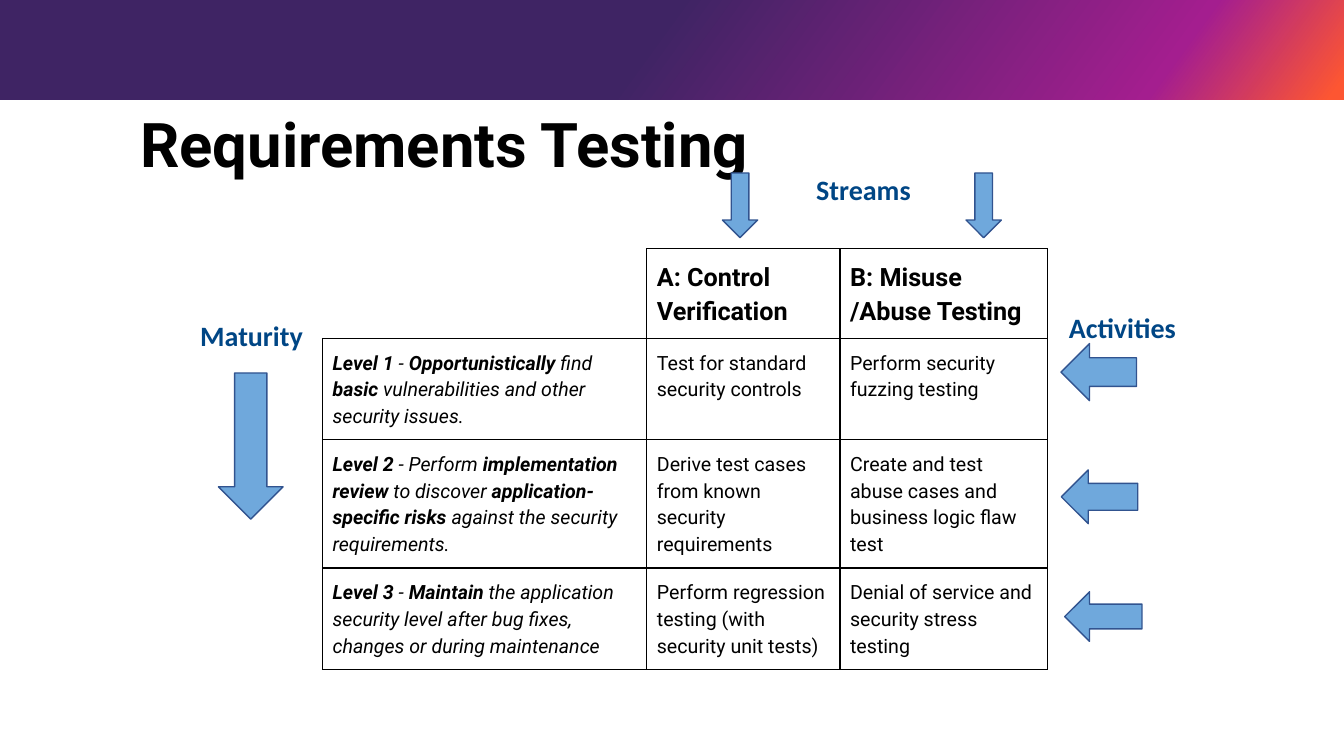
from lxml.etree import SubElement
from pptx import Presentation
from pptx.dml.color import RGBColor
from pptx.enum.shapes import MSO_SHAPE as Shape
from pptx.enum.text import MSO_ANCHOR as Anchor, PP_ALIGN as Align
from pptx.oxml import parse_xml
from pptx.oxml.ns import nsdecls, qn
from pptx.util import Inches, Pt

COLORS = {"text": "000000", "label": "004685", "arrow": "6FA8DC",
          "arrow_edge": "31538F", "border": "000000"}
BAND_STOPS = [(48, "3F2464"), (86, "A41E8F"), (99, "FD5632")]
COLUMNS, ROWS = 16, 9

HEADINGS = ["", "**A: Control Verification", "**B: Misuse /Abuse Testing"]
# Bold passages stand between double asterisks
LEVELS = [
    ["**Level 1** - **Opportunistically** find **basic** vulnerabilities and "
     "other security issues.",
     "Test for standard security controls",
     "Perform security fuzzing testing"],
    ["**Level 2** - Perform** implementation review** to discover "
     "**application-specific risks **against the security requirements.",
     "Derive test cases from known security requirements",
     "Create and test abuse cases and business logic flaw test"],
    ["**Level 3** - **Maintain** the application security level after bug "
     "fixes, changes or during maintenance",
     "Perform regression testing (with security unit tests)",
     "Denial of service and security stress testing"],
]


class SlideBuilder:
    """Draws on one slide; all lengths are grid columns and rows."""

    def __init__(self, deck):
        self.slide = deck.slides.add_slide(deck.slide_layouts[5])
        self.shapes = self.slide.shapes
        self.column = deck.slide_width / COLUMNS
        self.row = deck.slide_height / ROWS

    def box(self, left, top, width, height):
        return (round(left * self.column), round(top * self.row),
                round(width * self.column), round(height * self.row))

    def style(self, run, size, color, face, bold=True, italic=False):
        font = run.font
        font.name, font.size = face, Pt(size)
        font.bold, font.italic = bold, italic
        font.color.rgb = RGBColor.from_string(COLORS[color])

    def band(self, *place):
        band = self.shapes.add_shape(Shape.RECTANGLE, *self.box(*place))
        band.shadow.inherit = False
        band.line.fill.background()
        band.fill.gradient()
        band.fill.gradient_angle = 360 - 36
        stops = band.fill._fill._gradFill.find(qn("a:gsLst"))
        stops.clear()
        for share, color in BAND_STOPS:
            stop = SubElement(stops, qn("a:gs"), pos=str(share * 1000))
            SubElement(stop, qn("a:srgbClr"), val=color)

    def title(self, wording, *place):
        title = self.shapes.title
        title.left, title.top, title.width, title.height = self.box(*place)
        frame = title.text_frame
        frame.text = wording
        frame.word_wrap = True
        frame.vertical_anchor = Anchor.TOP
        heading = frame.paragraphs[0]
        heading.alignment, heading.line_spacing = Align.LEFT, 0.9
        self.style(heading.runs[0], 44, "text", "Roboto")

    def label(self, wording, *place, align=Align.CENTER):
        frame = self.shapes.add_textbox(*self.box(*place)).text_frame
        frame.text = wording
        frame.word_wrap = True
        frame.margin_left = frame.margin_right = Inches(0.07)
        frame.margin_top = frame.margin_bottom = Inches(0.04)
        frame.paragraphs[0].alignment = align
        self.style(frame.paragraphs[0].runs[0], 20, "label", "Calibri")

    def arrow(self, *place, turn=0):
        arrow = self.shapes.add_shape(Shape.DOWN_ARROW, *self.box(*place))
        arrow.shadow.inherit = False
        arrow.rotation = turn
        arrow.fill.solid()
        arrow.fill.fore_color.rgb = RGBColor.from_string(COLORS["arrow"])
        arrow.line.color.rgb = RGBColor.from_string(COLORS["arrow_edge"])
        arrow.line.width = Pt(1)

    def borders(self, cell, visible):
        color = f'<a:solidFill><a:srgbClr val="{COLORS["border"]}"/></a:solidFill>'
        for place, side in enumerate("LRTB"):
            paint = color if side in visible else "<a:noFill/>"
            edge = f'<a:ln{side} {nsdecls("a")} w="12700">{paint}</a:ln{side}>'
            cell._tc.get_or_add_tcPr().insert(place, parse_xml(edge))

    def cell(self, cell, wording, size, italic):
        cell.fill.background()
        cell.margin_left = cell.margin_right = Inches(0.1)
        cell.margin_top = cell.margin_bottom = Inches(0.1)
        self.borders(cell, "LRTB" if wording else "RB")
        paragraph = cell.text_frame.paragraphs[0]
        paragraph.line_spacing = 1.15
        for order, passage in enumerate(wording.split("**")):
            if passage:
                run = paragraph.add_run()
                run.text = passage
                self.style(run, size, "text", "Roboto", order % 2 == 1, italic)

    def table(self, left, top, widths, heights, content):
        place = self.box(left, top, sum(widths), sum(heights))
        table = self.shapes.add_table(len(heights), len(widths), *place).table
        table.first_row = table.horz_banding = False
        for column, width in zip(table.columns, widths):
            column.width = round(width * self.column)
        for r, (height, wordings) in enumerate(zip(heights, content)):
            table.rows[r].height = round(height * self.row)
            for c, wording in enumerate(wordings):
                self.cell(table.cell(r, c), wording,
                          14 if r else 18, r > 0 and c == 0)


def main():
    deck = Presentation()
    deck.slide_width, deck.slide_height = Inches(13.33), Inches(7.5)
    page = SlideBuilder(deck)

    # Header
    page.band(0, 0, 16, 1.19)
    page.title("Requirements Testing", 1.55, 1.3, 12.25, 1.46)

    # Maturity axis
    page.arrow(2.6, 4.44, 0.77, 1.74)
    page.label("Maturity", 2.15, 3.74, 1.69, 0.58)

    # Activities, one arrow per level
    page.label("Activities", 12.64, 3.65, 1.63, 0.77, align=Align.LEFT)
    for left, top, width, height in [(12.74, 3.98, 0.68, 0.9),
                                     (12.77, 5.46, 0.64, 0.91),
                                     (12.84, 6.88, 0.59, 0.92)]:
        page.arrow(left, top, width, height, turn=90)

    # Streams by maturity level
    page.label("Streams", 9.58, 2, 1.4, 0.58)
    page.table(3.84, 2.96, [3.86, 2.3, 2.47], [1.04, 1.19, 1.51, 1.19],
               [HEADINGS] + LEVELS)
    for left in (8.6, 11.5):
        page.arrow(left, 2.06, 0.42, 0.77)

    deck.save("out.pptx")


if __name__ == "__main__":
    main()
